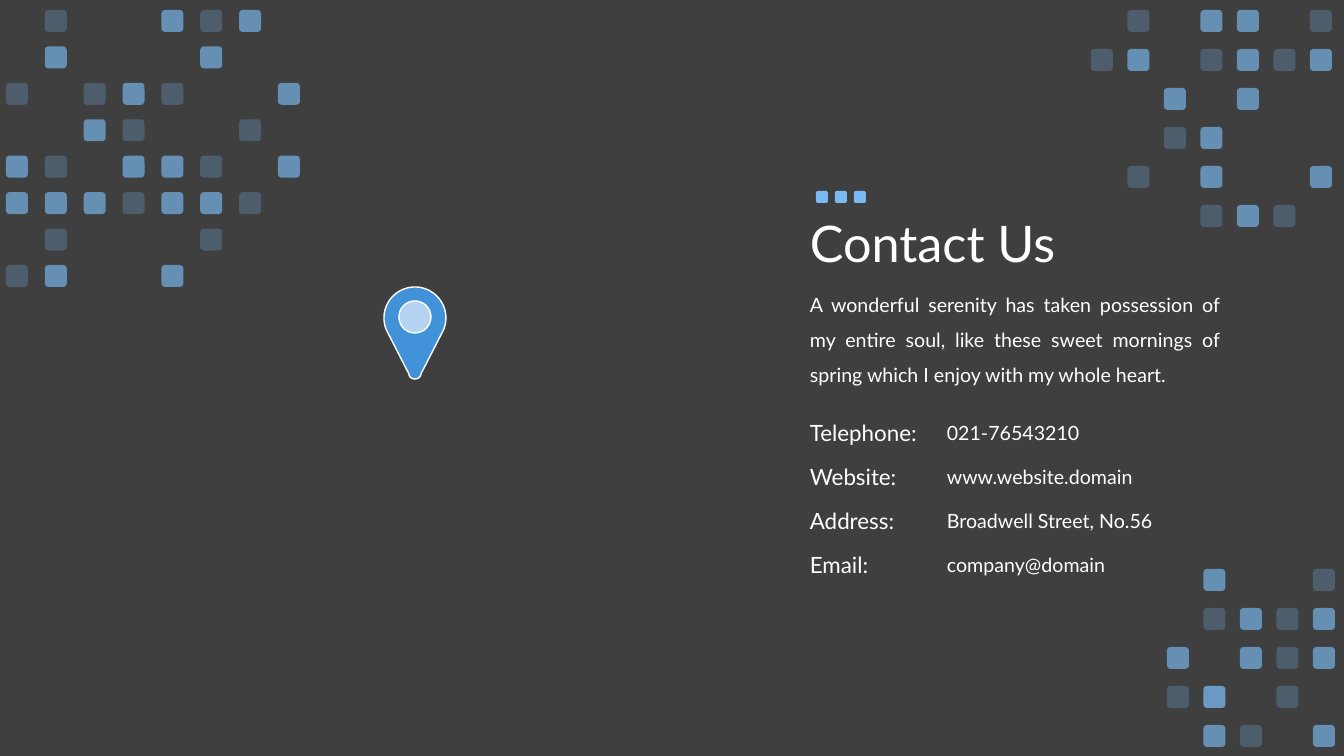
from math import cos, radians, sin

from lxml import etree
from pptx import Presentation
from pptx.dml.color import RGBColor
from pptx.enum.shapes import MSO_SHAPE
from pptx.enum.text import MSO_ANCHOR, PP_ALIGN
from pptx.oxml.ns import qn
from pptx.util import Emu, Pt

ROUNDED = MSO_SHAPE.ROUNDED_RECTANGLE
OVAL = MSO_SHAPE.OVAL
TOP, MIDDLE = MSO_ANCHOR.TOP, MSO_ANCHOR.MIDDLE
LEFT, JUSTIFY = PP_ALIGN.LEFT, PP_ALIGN.JUSTIFY

BACKGROUND = RGBColor(0x3F, 0x3F, 0x3F)
WHITE = RGBColor(0xFF, 0xFF, 0xFF)
SKY = RGBColor(0x7A, 0xBA, 0xF2)
PIN_BLUE = RGBColor(0x41, 0x92, 0xD9)
PIN_CENTRE = RGBColor(0xB3, 0xD3, 0xF0)
FONT = "Lato"

TITLE = "Contact Us"
INTRO = ("A wonderful serenity has taken possession of my entire soul, like these "
         "sweet mornings of spring which I enjoy with my whole heart.")
CONTACTS = [
    ("Telephone:", "021-76543210"),
    ("Website:", "www.website.domain"),
    ("Address:", "Broadwell Street, No.56"),
    ("Email:", "company@domain"),
]

OPACITIES = {".": [], "o": [25], "#": [65], "x": [65, 25]}
TOP_LEFT_MOSAIC = [
    ".o..#o#.",
    ".#...#..",
    "o.o#o..#",
    "..#o..o.",
    "#o.##o.#",
    "###o##o.",
    ".o...o..",
    "o#..#...",
]
TOP_RIGHT_MOSAIC = [
    ".o.##.o",
    "o#.o#o#",
    "..#.#..",
    "..o#...",
    ".o.#..#",
    "...o#o.",
]
BOTTOM_RIGHT_MOSAIC = [
    ".#..o",
    ".o#o#",
    "#.#o#",
    "ox.o.",
    ".#o.#",
]
MOSAICS = [
    (TOP_LEFT_MOSAIC, 6, 10, 278, 265),
    (TOP_RIGHT_MOSAIC, 1091, 10, 1310, 205),
    (BOTTOM_RIGHT_MOSAIC, 1167, 569, 1313, 725),
]
TILE = 22
TEXT_LEFT, VALUE_LEFT = 800, 937
CONTACT_TOP, CONTACT_PITCH = 414, 44
PIN_X, PIN_Y, PIN_RADIUS, HOLE_RADIUS = 415, 318, 31, 16


def px(length):
    return Emu(round(length * 914400 / 100.8))


def paint(shape, color, line=None, opacity=100):
    shape.shadow.inherit = False
    shape.fill.solid()
    shape.fill.fore_color.rgb = color
    if opacity < 100:
        color_element = shape.fill._xPr.find(".//" + qn("a:srgbClr"))
        etree.SubElement(color_element, qn("a:alpha")).set("val", str(opacity * 1000))
    if line is None:
        shape.line.fill.background()
    else:
        shape.line.color.rgb = line
        shape.line.width = Pt(1)


def add_block(shapes, kind, left, top, size, color, **style):
    shape = shapes.add_shape(kind, px(left), px(top), px(size), px(size))
    paint(shape, color, **style)


def add_text(slide, text, left, top, width, height, size=14, align=LEFT,
             anchor=TOP, spacing=1.0):
    box = slide.shapes.add_textbox(px(left), px(top), px(width), px(height))
    frame = box.text_frame
    frame.word_wrap = True
    frame.vertical_anchor = anchor
    paragraph = frame.paragraphs[0]
    paragraph.text = text
    paragraph.alignment = align
    paragraph.line_spacing = spacing
    paragraph.font.name = FONT
    paragraph.font.size = Pt(size)
    paragraph.font.color.rgb = WHITE


def add_mosaic(slide, rows, left, top, right, bottom):
    shapes = slide.shapes.add_group_shape().shapes
    column_pitch = (right - left) / (len(rows[0]) - 1)
    row_pitch = (bottom - top) / (len(rows) - 1)
    for row, marks in enumerate(rows):
        for column, mark in enumerate(marks):
            for opacity in OPACITIES[mark]:
                add_block(shapes, ROUNDED, left + column * column_pitch,
                          top + row * row_pitch, TILE, SKY, opacity=opacity)


def arc(center_x, center_y, radius_x, radius_y, start, end):
    steps = 36
    angles = [radians(start + (end - start) * step / steps) for step in range(steps + 1)]
    return [(px(center_x + radius_x * cos(angle)), px(center_y + radius_y * sin(angle)))
            for angle in angles]


def add_pin(slide):
    shapes = slide.shapes.add_group_shape().shapes
    add_block(shapes, OVAL, PIN_X - 18, PIN_Y - 19, 35, PIN_CENTRE, line=WHITE)
    outline = (arc(PIN_X, PIN_Y, PIN_RADIUS, PIN_RADIUS, 158, 382)
               + arc(PIN_X, 374, 6, 5, 0, 180))
    hole = arc(PIN_X, PIN_Y - 1, HOLE_RADIUS, HOLE_RADIUS, 360, 0)
    builder = shapes.build_freeform(*outline[0], scale=1.0)
    builder.add_line_segments(outline[1:], close=True)
    builder.move_to(*hole[0])
    builder.add_line_segments(hole[1:], close=True)
    paint(builder.convert_to_shape(), PIN_BLUE, line=WHITE)


def main():
    presentation = Presentation()
    presentation.slide_width = px(1344)
    presentation.slide_height = px(756)
    slide = presentation.slides.add_slide(presentation.slide_layouts[6])
    slide.background.fill.solid()
    slide.background.fill.fore_color.rgb = BACKGROUND

    for mosaic in MOSAICS:
        add_mosaic(slide, *mosaic)
    add_pin(slide)

    title_dots = slide.shapes.add_group_shape().shapes
    for index in range(3):
        add_block(title_dots, ROUNDED, 816 + index * 19, 191, 12, SKY)

    add_text(slide, TITLE, TEXT_LEFT, 173, 500, 146, size=36, anchor=MIDDLE, spacing=0.9)
    add_text(slide, INTRO, TEXT_LEFT, 276, 430, 112, align=JUSTIFY, spacing=1.5)
    for index, (label, value) in enumerate(CONTACTS):
        top = CONTACT_TOP + index * CONTACT_PITCH
        add_text(slide, label, TEXT_LEFT, top, 210, 37, size=16)
        add_text(slide, value, VALUE_LEFT, top + 2, 259, 34)

    presentation.save("out.pptx")


if __name__ == "__main__":
    main()
